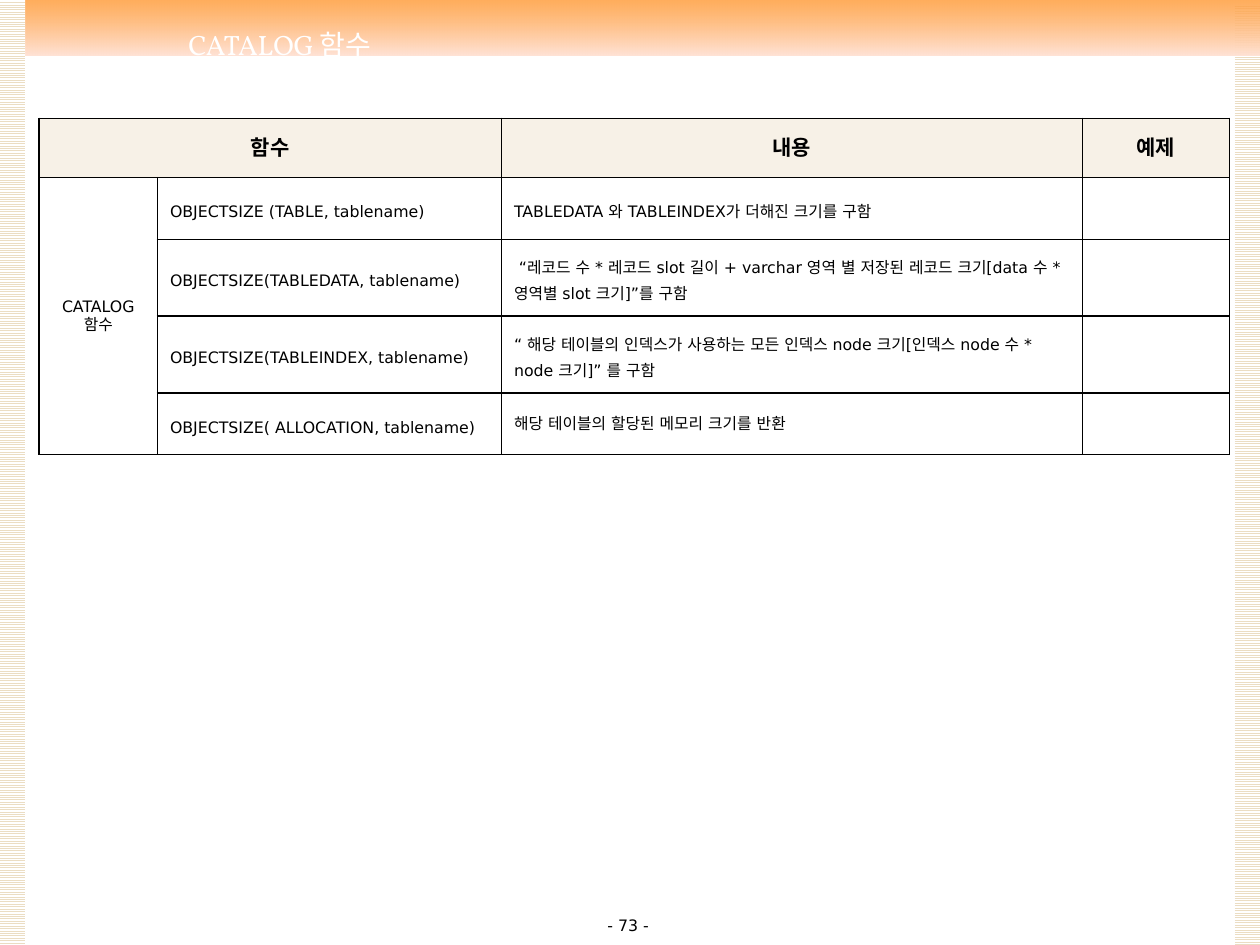
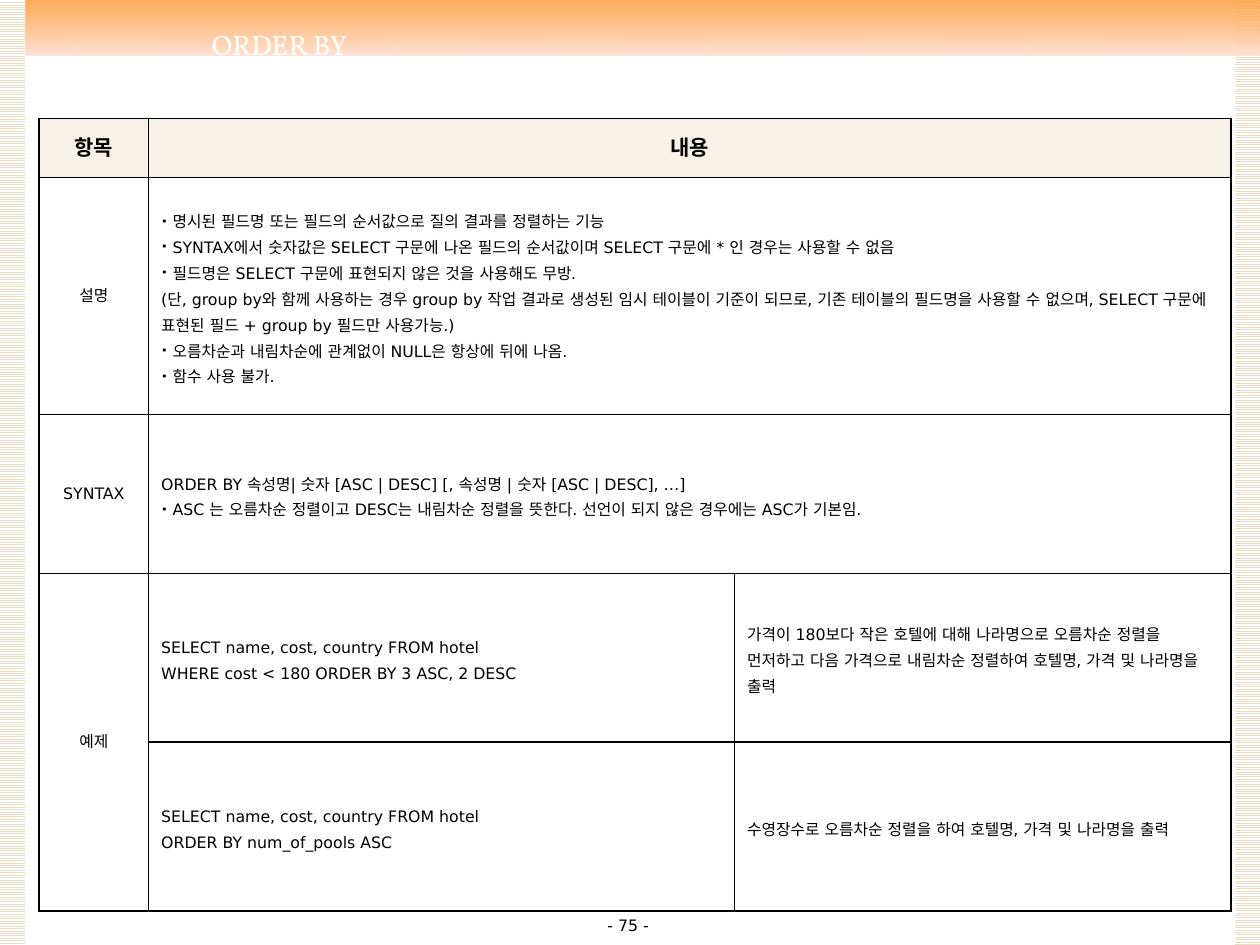
from lxml import etree
from pptx import Presentation
from pptx.dml.color import RGBColor as RGB
from pptx.enum.dml import MSO_PATTERN
from pptx.enum.shapes import MSO_SHAPE
from pptx.enum.text import MSO_ANCHOR, MSO_AUTO_SIZE, PP_ALIGN
from pptx.oxml.ns import qn
from pptx.util import Inches, Pt

COLORS = {
    "text": "000000",
    "title": "FFFFFF",
    "paper": "FFFFFF",
    "stripe": "EBDDC3",
    "band_top": "FF9933",
    "band_bottom": "FFE3D6",
    "head": "F7F1E7",
}
BODY_FONT, TITLE_FONT = "DejaVu Sans", "Vollkorn"
TITLE_BOX = (0.28, 0.17, 3.88, 0.36)
PAGE_BOX = (3.82, 7.22, 2.33, 0.19)
TABLE_BOX = (0.31, 0.94)
BULLET = "▪"

CENTER = {"alignment": PP_ALIGN.CENTER}
SMALL = {"name": BODY_FONT, "size": Pt(9), "bold": False}
STYLES = {
    "head": (CENTER | {"space_before": Pt(2.4)}, SMALL | {"size": Pt(12), "bold": True}),
    "lead": (CENTER | {"space_before": Pt(1.8)}, SMALL),
    "label": (CENTER, SMALL),
    "body": ({"line_spacing": 1.4}, SMALL),
    "plain": ({}, SMALL),
    "title": (CENTER, {"name": TITLE_FONT, "size": Pt(16), "bold": False}),
}

CATALOG = {
    "title": "CATALOG 함수",
    "page": 73,
    "cols": [0.94, 2.73, 4.61, 1.17],
    "rows": [0.47, 0.49, 0.61, 0.61, 0.49],
    "merges": [(0, 0, 0, 1), (1, 0, 4, 0)],
    "cells": {
        (0, 0): ("head", ["함수"]),
        (0, 2): ("head", ["내용"]),
        (0, 3): ("head", ["예제"]),
        (1, 0): ("label", ["CATALOG", "함수"]),
        (1, 1): ("body", ["OBJECTSIZE (TABLE, tablename)"]),
        (1, 2): ("body", ["TABLEDATA 와 TABLEINDEX가 더해진 크기를 구함"]),
        (2, 1): ("body", ["OBJECTSIZE(TABLEDATA, tablename)"]),
        (2, 2): ("body", [" “레코드 수 * 레코드 slot 길이 + varchar 영역 별 저장된 레코드 크기"
                          "[data 수 * 영역별 slot 크기]”를 구함"]),
        (3, 1): ("body", ["OBJECTSIZE(TABLEINDEX, tablename)"]),
        (3, 2): ("body", ["“ 해당 테이블의 인덱스가 사용하는 모든 인덱스 node 크기"
                          "[인덱스 node 수 * node 크기]” 를 구함"]),
        (4, 1): ("body", ["OBJECTSIZE( ALLOCATION, tablename)"]),
        (4, 2): ("plain", ["해당 테이블의 할당된 메모리 크기를 반환"]),
    },
}
ORDER_BY = {
    "title": "ORDER BY",
    "page": 75,
    "cols": [0.87, 4.65, 3.94],
    "rows": [0.47, 1.88, 1.26, 1.34, 1.34],
    "merges": [(0, 1, 0, 2), (1, 1, 1, 2), (2, 1, 2, 2), (3, 0, 4, 0)],
    "cells": {
        (0, 0): ("head", ["항목"]),
        (0, 1): ("head", ["내용"]),
        (1, 0): ("lead", ["설명"]),
        (1, 1): ("body", [
            "▪ 명시된 필드명 또는 필드의 순서값으로 질의 결과를 정렬하는 기능",
            "▪ SYNTAX에서 숫자값은 SELECT 구문에 나온 필드의 순서값이며 "
            "SELECT 구문에 * 인 경우는 사용할 수 없음",
            "▪ 필드명은 SELECT 구문에 표현되지 않은 것을 사용해도 무방.",
            "(단, group by와 함께 사용하는 경우 group by 작업 결과로 생성된 임시 테이블이 "
            "기준이 되므로, 기존 테이블의 필드명을 사용할 수 없으며, "
            "SELECT 구문에 표현된 필드 + group by 필드만 사용가능.)",
            "▪ 오름차순과 내림차순에 관계없이 NULL은 항상에 뒤에 나옴.",
            "▪ 함수 사용 불가.",
        ]),
        (2, 0): ("label", ["SYNTAX"]),
        (2, 1): ("body", [
            "ORDER BY 속성명| 숫자 [ASC | DESC] [, 속성명 | 숫자 [ASC | DESC], …]",
            "▪ ASC 는 오름차순 정렬이고 DESC는 내림차순 정렬을 뜻한다. "
            "선언이 되지 않은 경우에는 ASC가 기본임.",
        ]),
        (3, 0): ("label", ["예제"]),
        (3, 1): ("body", ["SELECT name, cost, country FROM hotel",
                          "WHERE cost < 180 ORDER BY 3 ASC, 2 DESC"]),
        (3, 2): ("body", ["가격이 180보다 작은 호텔에 대해 나라명으로 오름차순 정렬을 먼저하고 "
                          "다음 가격으로 내림차순 정렬하여 호텔명, 가격 및 나라명을 출력"]),
        (4, 1): ("body", ["SELECT name, cost, country FROM hotel",
                          "ORDER BY num_of_pools ASC"]),
        (4, 2): ("body", ["수영장수로 오름차순 정렬을 하여 호텔명, 가격 및 나라명을 출력"]),
    },
}


def rgb(name):
    return RGB.from_string(COLORS[name])


def apply(obj, values):
    for key, value in values.items():
        setattr(obj, key, value)


def place(sp, box):
    apply(sp, dict(zip(("left", "top", "width", "height"), map(Inches, box))))


def add_bullet(p):
    pPr = p._p.get_or_add_pPr()
    color = etree.SubElement(pPr, qn("a:buClr"))
    etree.SubElement(color, qn("a:srgbClr"), val=COLORS["text"])
    etree.SubElement(pPr, qn("a:buSzPct"), val="55000")
    etree.SubElement(pPr, qn("a:buChar"), char=BULLET)


def write(tf, lines, style, color="text"):
    para_format, font_format = STYLES[style]
    for i, line in enumerate(lines):
        p = tf.add_paragraph() if i else tf.paragraphs[0]
        apply(p, para_format)
        if line.startswith(BULLET):
            add_bullet(p)
        r = p.add_run()
        r.text = line.removeprefix(BULLET)
        apply(r.font, font_format)
        r.font.color.rgb = rgb(color)
        etree.SubElement(r._r.get_or_add_rPr(), qn("a:ea"), typeface=r.font.name)


def add_band(slide, master, box):
    sp = slide.shapes.add_shape(MSO_SHAPE.RECTANGLE, *map(Inches, box))
    sp.shadow.inherit = False
    sp.line.fill.background()
    master.shapes.element.append(sp.element)
    return sp


def stripe_band(slide, master, box):
    fill = add_band(slide, master, box).fill
    fill.patterned()
    fill.pattern = MSO_PATTERN.LIGHT_HORIZONTAL
    fill.fore_color.rgb = rgb("stripe")
    fill.back_color.rgb = rgb("paper")


def title_band(slide, master, box):
    sp = add_band(slide, master, box)
    sp.fill.gradient()
    sp.fill.gradient_angle = 270
    for stop, name, position in zip(sp.fill.gradient_stops, ("band_top", "band_bottom"), (0, 1)):
        stop.color.rgb = rgb(name)
        stop.position = position
    top_color = sp.element.find(".//" + qn("a:srgbClr"))
    etree.SubElement(top_color, qn("a:alpha"), val="80000")


def decorate_master(slide, master):
    stripe_band(slide, master, (9.8, 0.03, 0.21, 7.47))
    title_band(slide, master, (-0.01, 0, 10.02, 0.44))
    stripe_band(slide, master, (-0.01, 0, 0.21, 7.5))


def add_title(slide, text, box):
    sp = slide.shapes.title
    place(sp, box)
    tf = sp.text_frame
    apply(tf, {"vertical_anchor": MSO_ANCHOR.MIDDLE, "auto_size": MSO_AUTO_SIZE.NONE})
    write(tf, [text], "title", "title")


def add_page_number(slide, number, box):
    tf = slide.shapes.add_textbox(*map(Inches, box)).text_frame
    tf.word_wrap = True
    write(tf, [f"- {number} -"], "label")


def add_borders(cell):
    tcPr = cell._tc.get_or_add_tcPr()
    for side in ("lnL", "lnR", "lnT", "lnB"):
        ln = etree.SubElement(tcPr, qn(f"a:{side}"), w=str(Pt(1)))
        fill = etree.SubElement(ln, qn("a:solidFill"))
        etree.SubElement(fill, qn("a:srgbClr"), val=COLORS["text"])


def add_grid(slide, content, origin):
    cols, rows = content["cols"], content["rows"]
    box = (*origin, sum(cols), sum(rows))
    table = slide.shapes.add_table(len(rows), len(cols), *map(Inches, box)).table
    apply(table, {"first_row": False, "horz_banding": False})
    for col, width in zip(table.columns, cols):
        col.width = Inches(width)
    for row, height in zip(table.rows, rows):
        row.height = Inches(height)
    for top, left, bottom, right in content["merges"]:
        table.cell(top, left).merge(table.cell(bottom, right))
    for i in range(len(rows)):
        for j in range(len(cols)):
            cell = table.cell(i, j)
            cell.vertical_anchor = MSO_ANCHOR.MIDDLE
            add_borders(cell)
            if i == 0:
                cell.fill.solid()
                cell.fill.fore_color.rgb = rgb("head")
            else:
                cell.fill.background()
            if (i, j) in content["cells"]:
                style, lines = content["cells"][i, j]
                write(cell.text_frame, lines, style)


def table_slide(prs, content):
    slide = prs.slides.add_slide(prs.slide_layouts[5])
    add_page_number(slide, content["page"], PAGE_BOX)
    add_title(slide, content["title"], TITLE_BOX)
    add_grid(slide, content, TABLE_BOX)
    return slide


prs = Presentation()
prs.slide_width, prs.slide_height = Inches(10), Inches(7.5)
slides = [table_slide(prs, content) for content in (CATALOG, ORDER_BY)]
decorate_master(slides[0], prs.slide_master)
prs.save("out.pptx")
